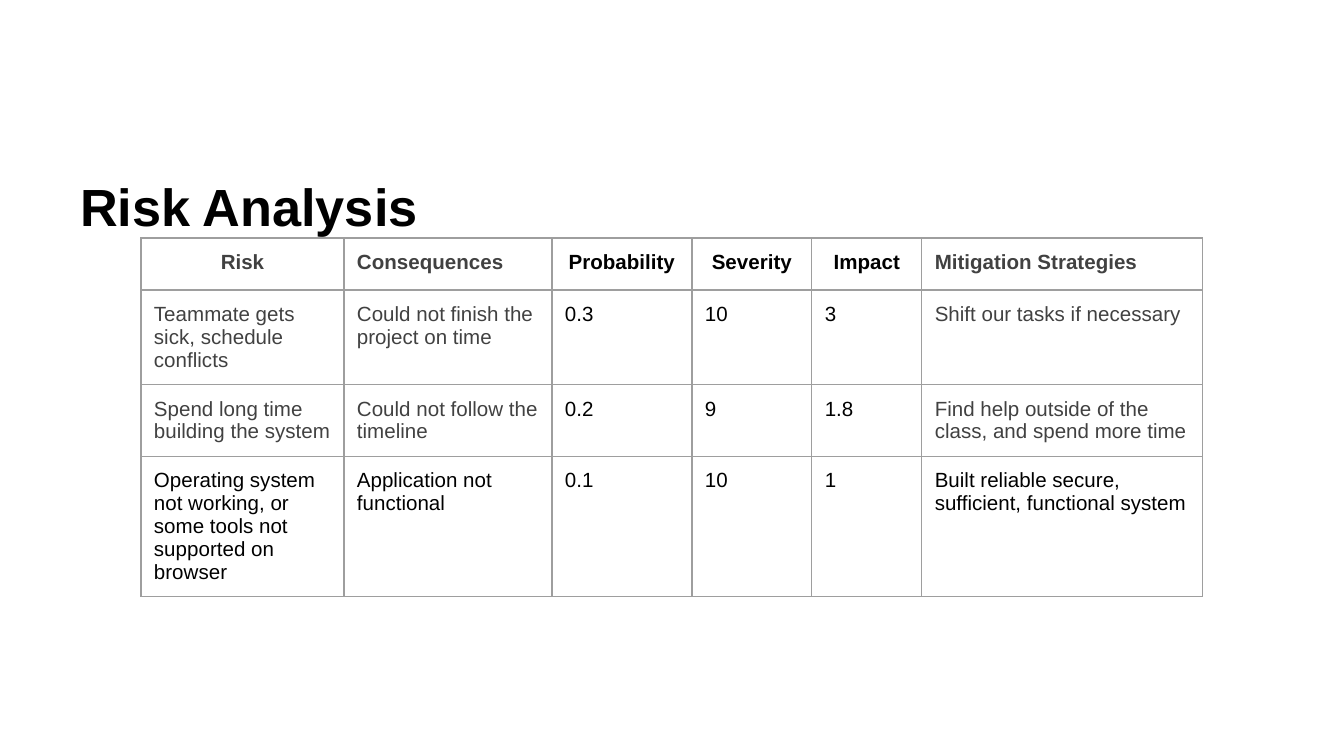
"""Build the Risk Analysis slide: a title above a bordered risk table."""
from lxml.etree import SubElement
from pptx import Presentation
from pptx.dml.color import RGBColor
from pptx.enum.text import MSO_ANCHOR as Anchor, MSO_AUTO_SIZE as AutoSize, PP_ALIGN as Align
from pptx.oxml.ns import qn
from pptx.util import Emu, Pt

EMU_PER_PX = 9144000 / 1344
INSET = 13
BLACK, GRAY, BORDER, WHITE = "000000", "414141", "9E9E9E", "FFFFFF"
COLUMN_WIDTHS = [203, 208, 140, 120, 110, 281]
ROW_HEIGHTS = [52, 69, 70, 117]
CENTERED_HEADERS = ["Risk", "Probability", "Severity", "Impact"]
NUMBER_COLUMNS = [2, 3, 4]
RISKS = [
    ["Risk", "Consequences", "Probability", "Severity", "Impact", "Mitigation Strategies"],
    ["Teammate gets sick, schedule conflicts", "Could not finish the project on time",
     "0.3", "10", "3", "Shift our tasks if necessary"],
    ["Spend long time building the system", "Could not follow the timeline",
     "0.2", "9", "1.8", "Find help outside of the class, and spend more time"],
    ["Operating system not working, or some tools not supported on browser",
     "Application not functional", "0.1", "10", "1",
     "Built reliable secure, sufficient, functional system"],
]


def px(length):
    return Emu(round(length * EMU_PER_PX))


def add_span(para, text, size, color, bold):
    span = para.add_run()
    span.text = text
    span.font.name = "Arial"
    span.font.size = Pt(size)
    span.font.bold = bold
    span.font.color.rgb = RGBColor.from_string(color)


deck = Presentation()
deck.slide_width, deck.slide_height = px(1344), px(756)
page = deck.slides.add_slide(deck.slide_layouts[0])
page.background.fill.solid()
page.background.fill.fore_color.rgb = RGBColor.from_string(WHITE)

subtitle = page.placeholders[1].element
subtitle.getparent().remove(subtitle)

title = page.shapes.title
title.left, title.top, title.width, title.height = px(67), px(165), px(1056), px(85)
box = title.text_frame
box.word_wrap = True
box.auto_size = AutoSize.NONE
box.vertical_anchor = Anchor.BOTTOM
box.margin_left = box.margin_right = box.margin_top = box.margin_bottom = px(INSET)
para = box.paragraphs[0]
para.alignment = Align.LEFT
para.line_spacing = 0.85
add_span(para, "Risk Analysis", 28, BLACK, True)

frame = page.shapes.add_table(len(RISKS), len(COLUMN_WIDTHS), px(141), px(238),
                              px(sum(COLUMN_WIDTHS)), px(sum(ROW_HEIGHTS)))
table = frame.table
table.first_row = table.horz_banding = False
for column, width in zip(table.columns, COLUMN_WIDTHS):
    column.width = px(width)
for row, height in zip(table.rows, ROW_HEIGHTS):
    row.height = px(height)

for row_index, risk in enumerate(RISKS):
    for column_index, text in enumerate(risk):
        cell = table.cell(row_index, column_index)
        cell.margin_left = cell.margin_right = cell.margin_top = cell.margin_bottom = px(INSET)
        cell.vertical_anchor = Anchor.TOP
        properties = cell._tc.get_or_add_tcPr()
        for side in ["lnL", "lnR", "lnT", "lnB"]:
            line = SubElement(properties, qn(f"a:{side}"), w=str(Pt(0.75)))
            SubElement(SubElement(line, qn("a:solidFill")), qn("a:srgbClr"), val=BORDER)
        cell.fill.background()
        para = cell.text_frame.paragraphs[0]
        para.alignment = Align.CENTER if text in CENTERED_HEADERS else Align.LEFT
        is_black = column_index in NUMBER_COLUMNS or row_index == len(RISKS) - 1
        add_span(para, text, 11, BLACK if is_black else GRAY, row_index == 0)

deck.save("out.pptx")
